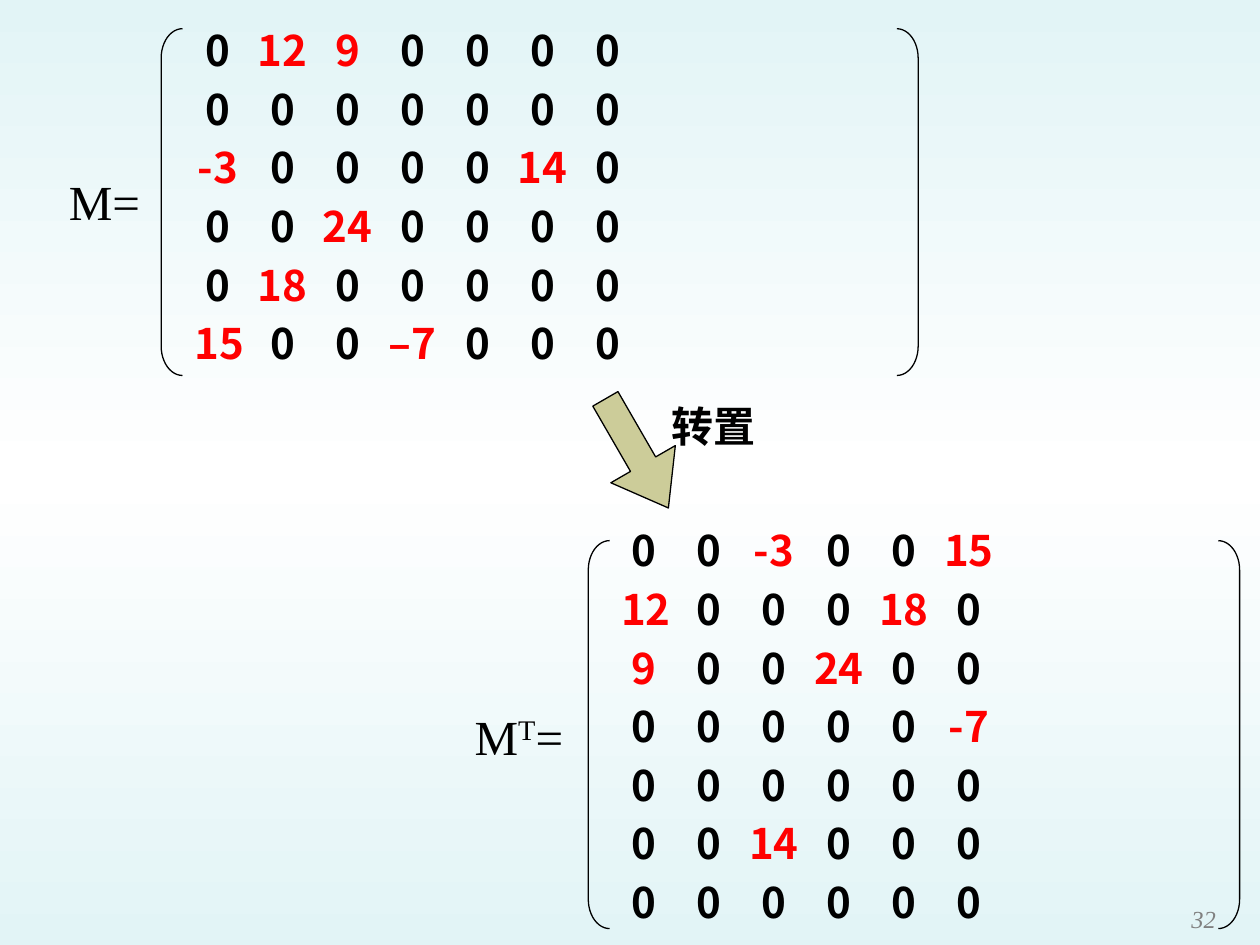
from copy import deepcopy
from dataclasses import dataclass

from lxml import etree
from pptx import Presentation
from pptx.dml.color import RGBColor
from pptx.enum.shapes import MSO_SHAPE
from pptx.enum.text import MSO_ANCHOR, PP_ALIGN
from pptx.oxml.ns import qn
from pptx.util import Cm, Pt

LEFT_BRACKET, RIGHT_BRACKET = MSO_SHAPE.LEFT_BRACKET, MSO_SHAPE.RIGHT_BRACKET
DOWN_ARROW = MSO_SHAPE.DOWN_ARROW
BOTTOM, RIGHT = MSO_ANCHOR.BOTTOM, PP_ALIGN.RIGHT

COLORS = {
    "edge": "E2F4F6",
    "middle": "FFFFFF",
    "zero": "000000",
    "nonzero": "FF0000",
    "arrow": "CCCC99",
    "number": "808080",
}
SERIF = "Times New Roman"
LABEL_FORMAT = {"name": SERIF, "size": Pt(28)}
ENTRY_FORMAT = {"name": "Noto Sans CJK SC", "size": Pt(24), "bold": True}
TITLE_FORMAT = {"name": SERIF, "size": Pt(24), "bold": True}
NUMBER_FORMAT = {"name": SERIF, "size": Pt(14), "italic": True}
ROW_FORMAT = {"line_spacing": Pt(28.7), "space_before": Pt(4.8)}
NO_INSETS = {"margin_left": 0, "margin_right": 0, "margin_top": 0, "margin_bottom": 0}

FIRST_COLUMN, COLUMN_STEP = 0.46, 1.31
BRACKET_WIDTH, BRACKET_CURVE = 0.43, 0.59

ROWS = [
    ["0", "12", "9", "0", "0", "0", "0"],
    ["0", "0", "0", "0", "0", "0", "0"],
    ["-3", "0", "0", "0", "0", "14", "0"],
    ["0", "0", "24", "0", "0", "0", "0"],
    ["0", "18", "0", "0", "0", "0", "0"],
    ["15", "0", "0", "–7", "0", "0", "0"],
]
TRANSPOSED_ROWS = [[entry.replace("–", "-") for entry in column] for column in zip(*ROWS)]


@dataclass
class Box:
    left: float
    top: float
    width: float
    height: float

    def lengths(self) -> list:
        return [Cm(value) for value in (self.left, self.top, self.width, self.height)]


@dataclass
class Matrix:
    rows: list
    label: list
    label_box: Box
    entries_box: Box
    brackets: Box


MATRICES = [
    Matrix(TRANSPOSED_ROWS, [("M", 0), ("T", 30), ("=", 0)], Box(9.32, 14.12, 2.54, 1.45),
           Box(12.27, 10.46, 12.9, 8.59), Box(11.86, 10.9, 13.13, 7.82)),
    Matrix(ROWS, [("M=", 0)], Box(1.14, 3.33, 2.1, 1.45),
           Box(3.68, 0.38, 14.6, 7.37), Box(3.25, 0.58, 15.26, 6.99)),
]


def apply_format(target, values: dict) -> None:
    for name, value in values.items():
        setattr(target, name, value)


def add_run(paragraph, text: str, values: dict, color: str):
    run = paragraph.add_run()
    run.text = text
    apply_format(run.font, values)
    run.font.color.rgb = RGBColor.from_string(COLORS[color])
    return run


def add_text_box(shapes, box: Box):
    frame = shapes.add_textbox(*box.lengths()).text_frame
    frame.word_wrap = True
    return frame


def add_outline(shapes, kind, box: Box, adjustments: list):
    shape = shapes.add_shape(kind, *box.lengths())
    shape.shadow.inherit = False
    shape.fill.background()
    shape.line.color.rgb = RGBColor.from_string(COLORS["zero"])
    shape.line.width = Pt(0.75)
    for index, value in enumerate(adjustments):
        shape.adjustments[index] = value
    return shape


def add_tab_stops(paragraph, count: int) -> None:
    tab_list = etree.SubElement(paragraph._p.get_or_add_pPr(), qn("a:tabLst"))
    for column in range(count):
        position = Cm(FIRST_COLUMN + column * COLUMN_STEP)
        etree.SubElement(tab_list, qn("a:tab"), pos=str(position), algn="ctr")


def draw_matrix(slide, matrix: Matrix) -> None:
    shapes = slide.shapes.add_group_shape().shapes
    area = matrix.brackets
    right_edge = area.left + area.width - BRACKET_WIDTH
    for kind, left in ((LEFT_BRACKET, area.left), (RIGHT_BRACKET, right_edge)):
        box = Box(left, area.top, BRACKET_WIDTH, area.height)
        add_outline(shapes, kind, box, [BRACKET_CURVE / BRACKET_WIDTH])

    paragraph = add_text_box(shapes, matrix.label_box).paragraphs[0]
    paragraph.space_before = Pt(5.6)
    for text, raised in matrix.label:
        run = add_run(paragraph, text, LABEL_FORMAT, "zero")
        if raised:
            run._r.get_or_add_rPr().set("baseline", str(raised * 1000))

    frame = add_text_box(shapes, matrix.entries_box)
    for index, row in enumerate(matrix.rows):
        paragraph = frame.add_paragraph() if index else frame.paragraphs[0]
        apply_format(paragraph, ROW_FORMAT)
        add_tab_stops(paragraph, len(row))
        for entry in row:
            add_run(paragraph, "\t" + entry, ENTRY_FORMAT, "zero" if entry == "0" else "nonzero")


def paint_background(slide) -> None:
    fill = slide.background.fill
    fill.gradient()
    fill.gradient_angle = 270
    stop_list = slide._element.find(".//" + qn("a:gsLst"))
    stop_list.insert(1, deepcopy(stop_list[0]))
    for stop, position, color in zip(fill.gradient_stops, (0, 0.5, 1), ("edge", "middle", "edge")):
        stop.position = position
        stop.color.rgb = RGBColor.from_string(COLORS[color])


def draw_title(slide) -> None:
    title = slide.shapes.title
    title.left, title.top, title.width, title.height = Box(13.54, 7.82, 2.1, 1.27).lengths()
    frame = title.text_frame
    apply_format(frame, {**NO_INSETS, "vertical_anchor": BOTTOM, "word_wrap": True})
    paragraph = frame.paragraphs[0]
    paragraph.alignment = PP_ALIGN.LEFT
    add_run(paragraph, "转置", TITLE_FORMAT, "zero")


def draw_arrow(slide) -> None:
    arrow = add_outline(slide.shapes, DOWN_ARROW, Box(12.09, 7.87, 1.5, 2.54), [0.39, 0.68])
    arrow.rotation = 330
    arrow.fill.solid()
    arrow.fill.fore_color.rgb = RGBColor.from_string(COLORS["arrow"])


def draw_slide_number(slide) -> None:
    frame = add_text_box(slide.shapes, Box(23.06, 17.98, 1.7, 0.84))
    apply_format(frame, {"margin_top": 0, "margin_bottom": 0, "vertical_anchor": BOTTOM})
    paragraph = frame.paragraphs[0]
    paragraph.alignment = RIGHT
    add_run(paragraph, "32", NUMBER_FORMAT, "number")


def main() -> None:
    presentation = Presentation()
    presentation.slide_width, presentation.slide_height = Cm(25.4), Cm(19.05)
    slide = presentation.slides.add_slide(presentation.slide_layouts[5])
    paint_background(slide)
    draw_title(slide)
    transposed, source = MATRICES
    draw_matrix(slide, transposed)
    draw_arrow(slide)
    draw_matrix(slide, source)
    draw_slide_number(slide)
    presentation.save("out.pptx")


if __name__ == "__main__":
    main()
